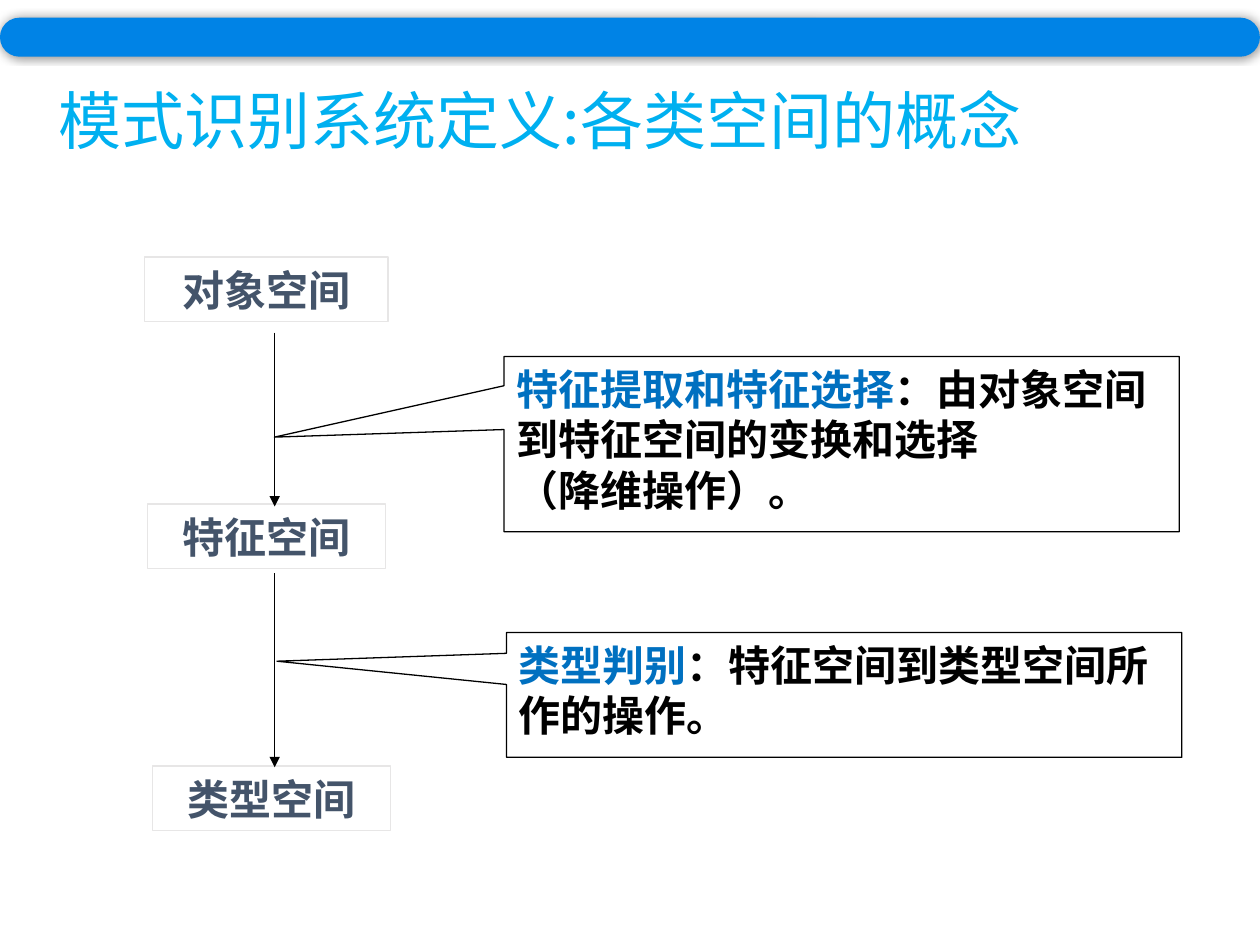
import dataclasses

import lxml.etree
import pptx
import pptx.dml.color
import pptx.enum.shapes
import pptx.enum.text
import pptx.oxml.ns
import pptx.util

SHAPE = pptx.enum.shapes.MSO_SHAPE
ALIGN = pptx.enum.text.PP_ALIGN
ANCHOR = pptx.enum.text.MSO_ANCHOR
qn = pptx.oxml.ns.qn


@dataclasses.dataclass(frozen=True)
class Theme:
    font: str = "Noto Sans CJK SC"
    title: str = "00B0F0"
    bar: str = "0083E6"
    node: str = "44546A"
    edge: str = "E7E6E6"
    term: str = "0070C0"
    ink: str = "000000"
    head: float = 36
    body: float = 24
    rule: float = 0.75
    lead: float = 1.2  # line pitch as a share of the type size


@dataclasses.dataclass(frozen=True)
class Area:
    """A block on the slide's grid of 100 columns by 75 rows."""
    col: float
    row: float
    wide: float
    high: float

    def box(self) -> tuple:
        return unit(self.col), unit(self.row), unit(self.wide), unit(self.high)


@dataclasses.dataclass(frozen=True)
class Node:
    area: Area
    name: str


@dataclasses.dataclass(frozen=True)
class Arrow:
    top: float
    end: float


@dataclasses.dataclass(frozen=True)
class Note:
    area: Area
    tip: tuple
    lines: list  # paragraphs, each a list of (text, colour)


THEME = Theme()
AXIS = 21.8  # column shared by both arrows

NODES = [
    Node(Area(11.5, 20.4, 19.3, 5.1), "对象空间"),
    Node(Area(11.7, 40, 18.9, 5.1), "特征空间"),
    Node(Area(12.1, 60.8, 18.9, 5.1), "类型空间"),
]
ARROWS = [Arrow(26.4, 40.2), Arrow(45.5, 60.9)]
NOTES = [
    Note(Area(40, 28.3, 53.6, 13.9), (-0.84, -0.04), [
        [("特征提取和特征选择", THEME.term),
         ("：由对象空间到特征空间的变换和选择", THEME.ink)],
        [("（降维操作）。", THEME.ink)],
    ]),
    Note(Area(40.2, 50.2, 53.6, 9.9), (-0.84, -0.27), [
        [("类型判别", THEME.term),
         ("：特征空间到类型空间所作的操作。", THEME.ink)],
    ]),
]


def unit(count: float) -> int:
    return pptx.util.Inches(count / 10)


def paint(code: str) -> pptx.dml.color.RGBColor:
    return pptx.dml.color.RGBColor.from_string(code)


def write(shape, lines: list, *, size: float = THEME.body, bold: bool = True,
          align=ALIGN.LEFT, anchor=ANCHOR.TOP) -> None:
    """Fill a shape with paragraphs of (text, colour) runs."""
    frame = shape.text_frame
    frame.word_wrap = True
    frame.vertical_anchor = anchor
    for num, parts in enumerate(lines):
        para = frame.add_paragraph() if num else frame.paragraphs[0]
        para.alignment = align
        para.line_spacing = pptx.util.Pt(round(size * THEME.lead))
        for text, color in parts:
            run = para.add_run()
            run.text = text
            run.font.size = pptx.util.Pt(size)
            run.font.bold = bold
            run.font.name = THEME.font
            run.font.color.rgb = paint(color)
            east = lxml.etree.SubElement(run.font._element, qn("a:ea"))
            east.set("typeface", THEME.font)


def frame(slide, kind, area: Area, edge: str):
    """Draw an unfilled, outlined shape."""
    shape = slide.shapes.add_shape(kind, *area.box())
    shape.shadow.inherit = False
    shape.fill.background()
    shape.line.color.rgb = paint(edge)
    shape.line.width = pptx.util.Pt(THEME.rule)
    return shape


def draw_node(slide, node: Node) -> None:
    shape = frame(slide, SHAPE.RECTANGLE, node.area, THEME.edge)
    write(shape, [[(node.name, THEME.node)]], align=ALIGN.CENTER,
          anchor=ANCHOR.MIDDLE)


def draw_arrow(slide, arrow: Arrow) -> None:
    line = slide.shapes.add_connector(
        pptx.enum.shapes.MSO_CONNECTOR.STRAIGHT,
        unit(AXIS), unit(arrow.top), unit(AXIS), unit(arrow.end))
    line.line.color.rgb = paint(THEME.ink)
    line.line.width = pptx.util.Pt(THEME.rule)
    props = line._element.spPr
    tail = lxml.etree.SubElement(props.find(qn("a:ln")), qn("a:tailEnd"))
    tail.set("type", "triangle")
    lxml.etree.SubElement(props, qn("a:effectLst"))


def draw_note(slide, note: Note) -> None:
    shape = frame(slide, SHAPE.RECTANGULAR_CALLOUT, note.area, THEME.ink)
    shape.adjustments[0], shape.adjustments[1] = note.tip
    write(shape, note.lines)


def draw_bar(slide, area: Area) -> None:
    bar = slide.shapes.add_shape(SHAPE.ROUNDED_RECTANGLE, *area.box())
    bar.adjustments[0] = 0.5
    bar.fill.solid()
    bar.fill.fore_color.rgb = paint(THEME.bar)
    bar.line.fill.background()
    bar.shadow.inherit = False
    # Soft shadow all round the bar
    effects = bar._element.spPr.find(qn("a:effectLst"))
    shade = lxml.etree.SubElement(effects, qn("a:outerShdw"))
    shade.set("blurRad", str(pptx.util.Pt(5)))
    shade.set("dist", "0")
    color = lxml.etree.SubElement(shade, qn("a:srgbClr"), val=THEME.ink)
    lxml.etree.SubElement(color, qn("a:alpha"), val="40000")


def main() -> None:
    deck = pptx.Presentation()
    deck.slide_width, deck.slide_height = unit(100), unit(75)
    slide = deck.slides.add_slide(deck.slide_layouts[6])

    # Title
    title = slide.shapes.add_textbox(*Area(3.7, 6, 85, 11.7).box())
    write(title, [[("模式识别系统定义:各类空间的概念", THEME.title)]],
          size=THEME.head, bold=False)

    # Chain of spaces
    for node in NODES:
        draw_node(slide, node)
    for arrow in ARROWS:
        draw_arrow(slide, arrow)

    # Notes on each step
    for note in NOTES:
        draw_note(slide, note)

    # Top bar
    draw_bar(slide, Area(0, 1.4, 100, 3.1))
    deck.save("out.pptx")


if __name__ == "__main__":
    main()
